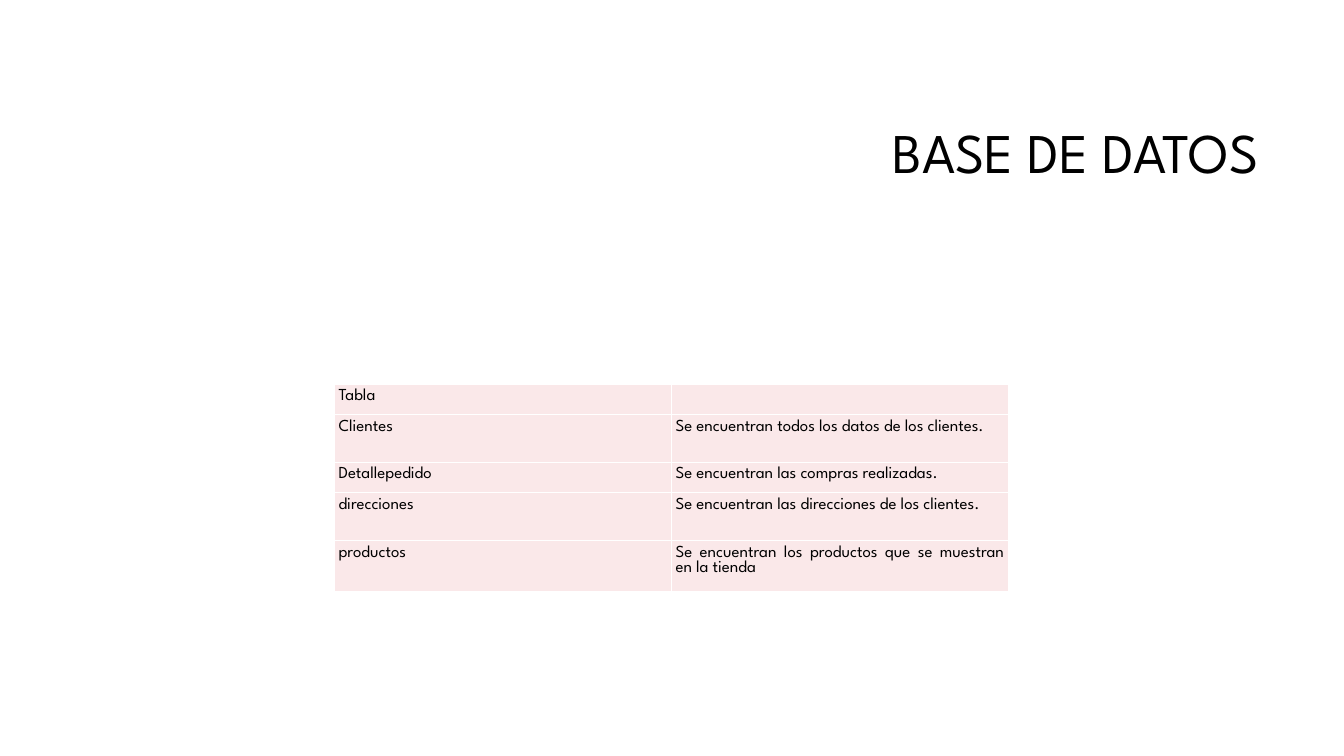
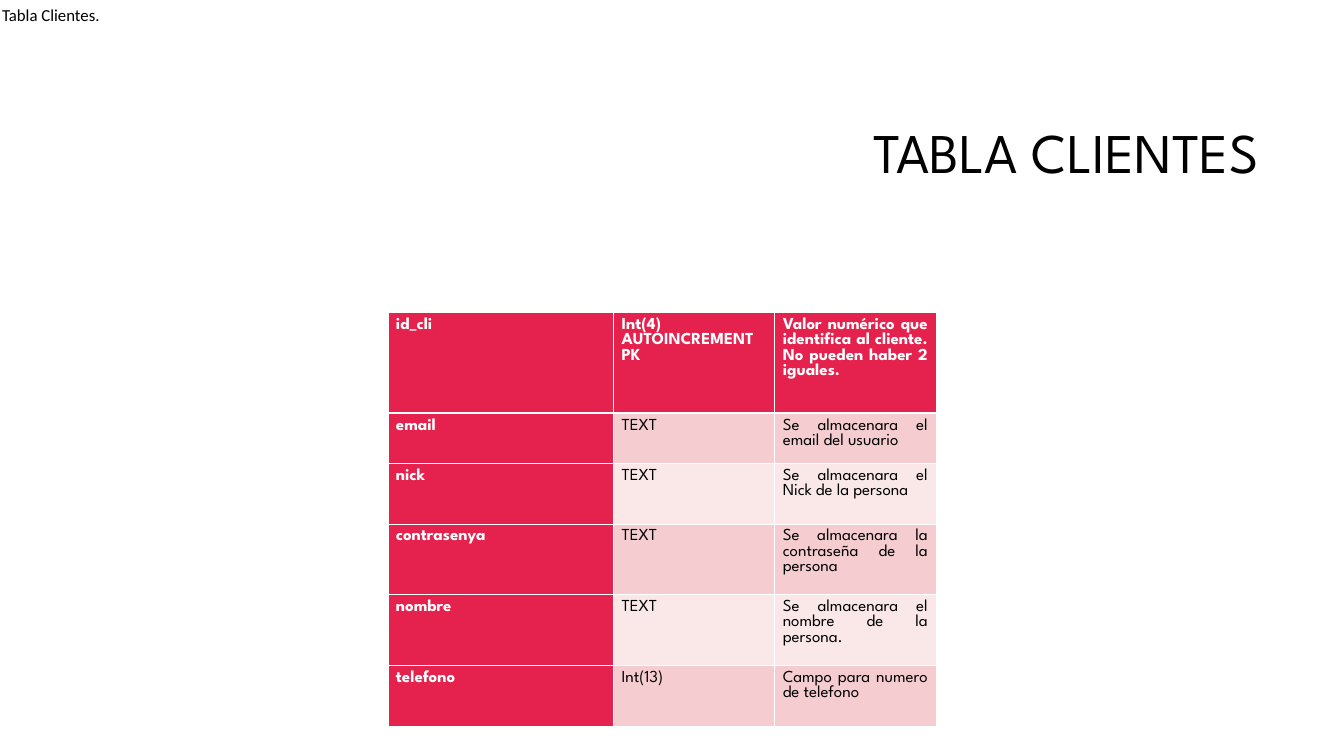
from dataclasses import dataclass

from lxml import etree
from pptx import Presentation
from pptx import util as u
from pptx.dml.color import RGBColor
from pptx.enum import text
from pptx.oxml.ns import qn

SLIDE_W, SLIDE_H = u.Inches(13.34), u.Inches(7.5)
BLANK = 6
COLORS = {"ink": "000000", "paper": "FFFFFF", "accent": "E5224E",
          "band": "F5CCD0", "pale": "FAE8E9"}
FONT = "League Spartan"
THIN, THICK = 0.45, 1.47  # border widths in points
EMPTY_CELL_SIZE = 10


@dataclass(frozen=True)
class Box:
    """Place and size in percent of the slide's width and height."""
    left: float
    top: float
    width: float
    height: float

    def emu(self) -> list[int]:
        return [round(SLIDE_W * self.left / 100), round(SLIDE_H * self.top / 100),
                round(SLIDE_W * self.width / 100), round(SLIDE_H * self.height / 100)]


@dataclass(frozen=True)
class Grid:
    """A table; cols and rows are relative shares of its box."""
    box: Box
    cols: tuple[int, ...]
    rows: tuple[int, ...]
    cells: tuple[tuple[str, ...], ...]
    side_margin: float
    headed: bool  # accent first row and first column, banded body


@dataclass(frozen=True)
class Page:
    title: str
    grid: Grid
    note: str = ""


TITLE_BOX = Box(23.76, 11.2, 70.61, 18.8)
NOTE_BOX = Box(0, 0, 9.4, 5)

PAGES = (
    Page("BASE DE DATOS", Grid(
        Box(24.89, 50.8, 50.15, 26.4), (1, 1), (7, 12, 7, 12, 12),
        (("Tabla", ""),
         ("Clientes", "Se encuentran todos los datos de los clientes."),
         ("Detallepedido", "Se encuentran las compras realizadas."),
         ("direcciones", "Se encuentran las direcciones de los clientes."),
         ("productos", "Se encuentran los productos que se muestran en la tienda")),
        side_margin=0.04, headed=False)),
    Page("TABLA CLIENTES", Grid(
        Box(28.86, 41.33, 40.78, 50.67), (7, 5, 5), (5, 2, 3, 3, 3, 3),
        (("id_cli", "Int(4) AUTOINCREMENT\nPK",
          "Valor numérico que identifica al cliente. No pueden haber 2 iguales."),
         ("email", "TEXT", "Se almacenara el email del usuario"),
         ("nick", "TEXT", "Se almacenara el Nick de la persona"),
         ("contrasenya", "TEXT", "Se almacenara la contraseña de la persona"),
         ("nombre", "TEXT", "Se almacenara el nombre de la persona."),
         ("telefono", "Int(13)", "Campo para numero de telefono")),
        side_margin=0.08, headed=True), note="Tabla Clientes."),
)


def rgb(name: str) -> RGBColor:
    return RGBColor.from_string(COLORS[name])


def set_all(target, values: dict) -> None:
    for name, value in values.items():
        setattr(target, name, value)


def write(tf, content: str, align, size: float, font: str = FONT,
          color: str = "ink", bold: bool = False, spacing: float = 1.0) -> None:
    """Fill a text frame, one paragraph per line of content."""
    for i, line in enumerate(content.split("\n")):
        p = tf.add_paragraph() if i else tf.paragraphs[0]
        set_all(p, {"alignment": align, "line_spacing": spacing})
        if not line:
            p._p.get_or_add_endParaRPr().set("sz", str(EMPTY_CELL_SIZE * 100))
            continue
        r = p.add_run()
        r.text = line
        set_all(r.font, {"name": font, "size": u.Pt(size), "bold": bold})
        r.font.color.rgb = rgb(color)


def add_text(s, box: Box, content: str, frame: dict, **style) -> None:
    tf = s.shapes.add_textbox(*box.emu()).text_frame
    set_all(tf, frame)
    write(tf, content, **style)


def set_borders(cell, widths: dict[str, float]) -> None:
    """Border widths are keyed by side, in the order L, R, T, B."""
    tc_pr = cell._tc.get_or_add_tcPr()
    for i, (side, width) in enumerate(widths.items()):
        ln = etree.Element(qn(f"a:ln{side}"), w=str(int(u.Pt(width))))
        fill = etree.SubElement(ln, qn("a:solidFill"))
        etree.SubElement(fill, qn("a:srgbClr"), val=COLORS["paper"])
        tc_pr.insert(i, ln)


def add_grid(s, grid: Grid) -> None:
    left, top, width, height = grid.box.emu()
    table = s.shapes.add_table(len(grid.rows), len(grid.cols),
                               left, top, width, height).table
    set_all(table, {"first_row": False, "horz_banding": False})
    for col, share in zip(table.columns, grid.cols):
        col.width = round(width * share / sum(grid.cols))
    for row, share in zip(table.rows, grid.rows):
        row.height = round(height * share / sum(grid.rows))

    side, edge = u.Inches(grid.side_margin), u.Inches(0.05)
    for i, line in enumerate(grid.cells):
        for j, content in enumerate(line):
            cell = table.cell(i, j)
            head = grid.headed and (i == 0 or j == 0)
            banded = grid.headed and i % 2 == 1
            set_all(cell, {"margin_left": side, "margin_right": side,
                           "margin_top": edge, "margin_bottom": edge})
            cell.fill.solid()
            cell.fill.fore_color.rgb = rgb("accent" if head else "band" if banded else "pale")
            set_borders(cell, {"L": THIN, "R": THIN,
                               "T": THICK if grid.headed and i == 1 else THIN,
                               "B": THICK if grid.headed and i == 0 else THIN})
            write(cell.text_frame, content, text.PP_ALIGN.JUSTIFY, 12,
                  color="paper" if head else "ink", bold=head)


def add_page(prs, page: Page) -> None:
    s = prs.slides.add_slide(prs.slide_layouts[BLANK])
    add_text(s, TITLE_BOX, page.title,
             {"word_wrap": True, "vertical_anchor": text.MSO_ANCHOR.MIDDLE},
             align=text.PP_ALIGN.RIGHT, size=40, spacing=0.9)
    add_grid(s, page.grid)
    if page.note:
        add_text(s, NOTE_BOX, page.note,
                 {"word_wrap": False, "margin_left": u.Inches(0.02)},
                 align=text.PP_ALIGN.LEFT, size=12, font="Calibri")


def main() -> None:
    prs = Presentation()
    set_all(prs, {"slide_width": SLIDE_W, "slide_height": SLIDE_H})
    for page in PAGES:
        add_page(prs, page)
    prs.save("out.pptx")


if __name__ == "__main__":
    main()
